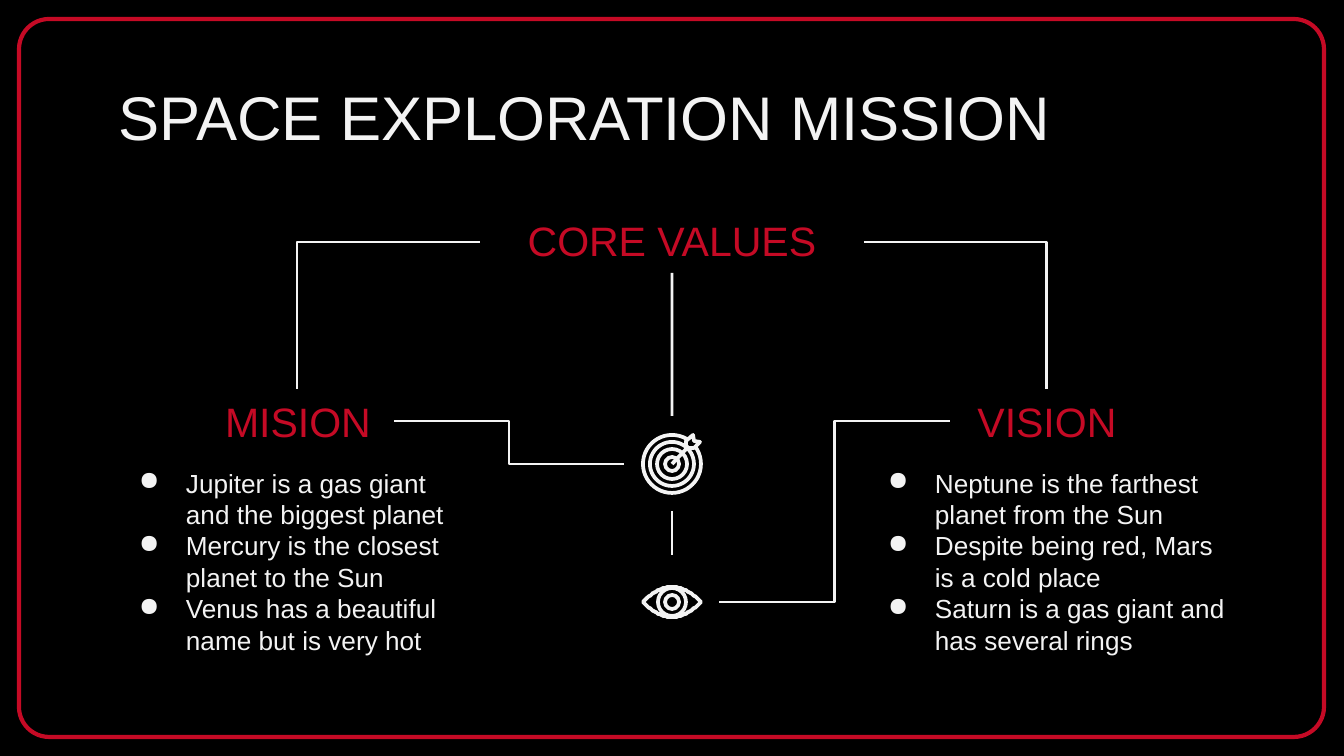
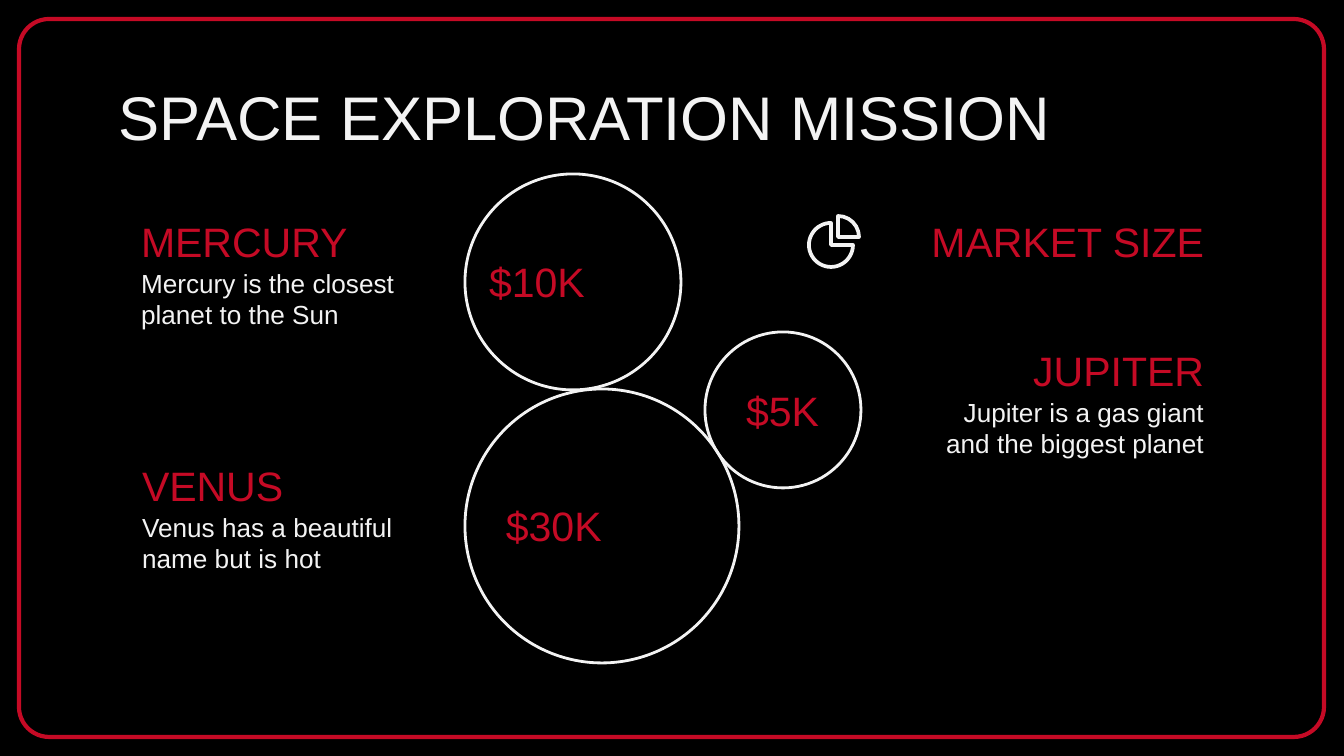
import pptx
import pptx.dml.color
import pptx.enum.shapes
import pptx.enum.text
import pptx.oxml.ns
import pptx.util
import lxml.etree

SCALE = 914400 / 134.4
SIZE = (1344, 756)
FONT = "Arial"
COLORS = {"space": "000000", "accent": "C50A25", "light": "F3F3F3"}
SHAPES = pptx.enum.shapes.MSO_SHAPE
CONNECTORS = pptx.enum.shapes.MSO_CONNECTOR
ALIGN = pptx.enum.text.PP_ALIGN
ANCHOR = pptx.enum.text.MSO_ANCHOR

TITLE = "SPACE EXPLORATION MISSION"
CORE = ("CORE VALUES", (480, 208, 384, 65))
PILLARS = [
    (106, "MISION", [
        "Jupiter is a gas giant and the biggest planet",
        "Mercury is the closest planet to the Sun",
        "Venus has a beautiful name but is very hot",
    ]),
    (855, "VISION", [
        "Neptune is the farthest planet from the Sun",
        "Despite being red, Mars is a cold place",
        "Saturn is a gas giant and has several rings",
    ]),
]
CORNERS = [((480, 242), (297, 389)), ((864, 242), (1047, 389))]
ELBOWS = [((394, 421), (624, 464)), ((950, 421), (719, 602))]
TARGET_CENTER = (672, 464)
TARGET_RADII = [29, 22, 15, 7]
TARGET_FEATHERS = [(686, 448), (686, 441), (693, 435), (694, 441), (700, 442), (694, 448)]
EYE_CENTER = (672, 602)
EYE_REACH = (29, 15)
EYE_RADII = [14, 7]

MARKET = ("MARKET SIZE", (862, 206, 355, 71))
PLANETS = [
    ("MERCURY", "Mercury is the closest planet to the Sun", (128, 206), ALIGN.LEFT),
    ("JUPITER", "Jupiter is a gas giant and the biggest planet", (913, 335), ALIGN.RIGHT),
    ("VENUS", "Venus has a beautiful name but is hot", (129, 450), ALIGN.LEFT),
]
AMOUNTS = [
    ("$10K", (573, 282), 108, (476, 257, 195, 48), ALIGN.LEFT),
    ("$5K", (783, 410), 78, (685, 386, 195, 48), ALIGN.CENTER),
    ("$30K", (602, 526), 137, (493, 501, 216, 48), ALIGN.LEFT),
]


def px(value):
    return round(value * SCALE)


def color(name):
    return pptx.dml.color.RGBColor.from_string(COLORS[name])


def style_outline(shape, points, line="light", fill=None):
    shape.shadow.inherit = False
    shape.line.color.rgb = color(line)
    shape.line.width = pptx.util.Pt(points)
    if fill:
        shape.fill.solid()
        shape.fill.fore_color.rgb = color(fill)
    else:
        shape.fill.background()
    return shape


def add_outline(slide, kind, box, points, line="light"):
    shape = slide.shapes.add_shape(kind, *map(px, box))
    return style_outline(shape, points, line)


def add_circle(slide, center, radius, points):
    box = (center[0] - radius, center[1] - radius, 2 * radius, 2 * radius)
    return add_outline(slide, SHAPES.OVAL, box, points)


def add_polygon(slide, points):
    builder = slide.shapes.build_freeform(*points[0], scale=SCALE)
    builder.add_line_segments(points[1:], close=True)
    return style_outline(builder.convert_to_shape(), 2, fill="space")


def add_line(slide, start, end, kind=CONNECTORS.STRAIGHT, points=1.5):
    connector = slide.shapes.add_connector(kind, *map(px, start + end))
    connector.line.color.rgb = color("light")
    connector.line.width = pptx.util.Pt(points)
    lxml.etree.SubElement(connector.element.spPr, pptx.oxml.ns.qn("a:effectLst"))
    return connector


def add_bullet(paragraph):
    properties = paragraph._p.get_or_add_pPr()
    properties.set("marL", str(px(67)))
    properties.set("indent", str(-px(47)))
    bullet = lxml.etree.SubElement(properties, pptx.oxml.ns.qn("a:buChar"))
    bullet.set("char", "●")


def add_text(slide, lines, box, size, name="light", align=ALIGN.LEFT,
             anchor=ANCHOR.TOP, bullets=False):
    shape = slide.shapes.add_textbox(*map(px, box))
    frame = shape.text_frame
    frame.word_wrap = True
    frame.vertical_anchor = anchor
    frame.margin_left = frame.margin_right = px(13)
    frame.margin_top = frame.margin_bottom = px(13)
    frame.text = "\n".join(lines)
    for paragraph in frame.paragraphs:
        paragraph.alignment = align
        paragraph.font.name = FONT
        paragraph.font.size = pptx.util.Pt(size)
        paragraph.font.color.rgb = color(name)
        if bullets:
            add_bullet(paragraph)
    return shape


def add_heading(slide, text, box, align=ALIGN.CENTER):
    return add_text(slide, [text], box, 22, "accent", align, ANCHOR.MIDDLE)


def add_base(presentation):
    slide = presentation.slides.add_slide(presentation.slide_layouts[6])
    slide.background.fill.solid()
    slide.background.fill.fore_color.rgb = color("space")
    border = add_outline(slide, SHAPES.ROUNDED_RECTANGLE, (19, 19, 1305, 718), 2.25, "accent")
    border.adjustments[0] = 0.042
    add_text(slide, [TITLE], (106, 66, 1133, 85), 33)
    return slide


def draw_target(slide):
    for radius in TARGET_RADII:
        add_circle(slide, TARGET_CENTER, radius, 2)
    add_polygon(slide, TARGET_FEATHERS)
    add_line(slide, TARGET_CENTER, (689, 446), points=2)


def draw_eye(slide):
    (x, y), (reach, height) = EYE_CENTER, EYE_REACH
    steps = range(-reach, reach + 1)
    upper = [(x + step, y - height * (1 - (step / reach) ** 2)) for step in steps]
    lower = [(left, 2 * y - top) for left, top in reversed(upper[1:-1])]
    add_polygon(slide, upper + lower)
    for radius in EYE_RADII:
        add_circle(slide, EYE_CENTER, radius, 2)


def draw_pie(slide):
    add_outline(slide, SHAPES.PIE, (809, 223, 44, 44), 2)
    wedge = add_outline(slide, SHAPES.PIE_WEDGE, (838, 216, 21, 21), 2)
    wedge.rotation = 90


def build_values(presentation):
    slide = add_base(presentation)
    for start, end in CORNERS:
        connector = add_line(slide, start, end, CONNECTORS.ELBOW)
        connector.element.spPr.prstGeom.set("prst", "bentConnector2")
    for left, heading, facts in PILLARS:
        add_text(slide, facts, (left, 454, 383, 210), 14, bullets=True)
        add_heading(slide, heading, (left + 95, 389, 194, 65))
    core = add_heading(slide, *CORE)
    for start, end in ELBOWS:
        add_line(slide, start, end, CONNECTORS.ELBOW)
    draw_eye(slide)
    draw_target(slide)
    add_line(slide, (672, 555), (672, 511))
    add_line(slide, (672, 416), (672, 273)).end_connect(core, 2)


def build_market(presentation):
    slide = add_base(presentation)
    for amount, center, radius, box, align in AMOUNTS:
        add_circle(slide, center, radius, 1.5)
        add_heading(slide, amount, box, align)
    for planet, fact, (left, top), align in PLANETS:
        add_text(slide, [fact], (left, top + 48, 304, 82), 14, align=align)
        add_heading(slide, planet, (left, top, 304, 71), align)
    add_heading(slide, *MARKET, ALIGN.RIGHT)
    draw_pie(slide)


def main():
    presentation = pptx.Presentation()
    presentation.slide_width, presentation.slide_height = map(px, SIZE)
    build_values(presentation)
    build_market(presentation)
    presentation.save("out.pptx")


if __name__ == "__main__":
    main()
